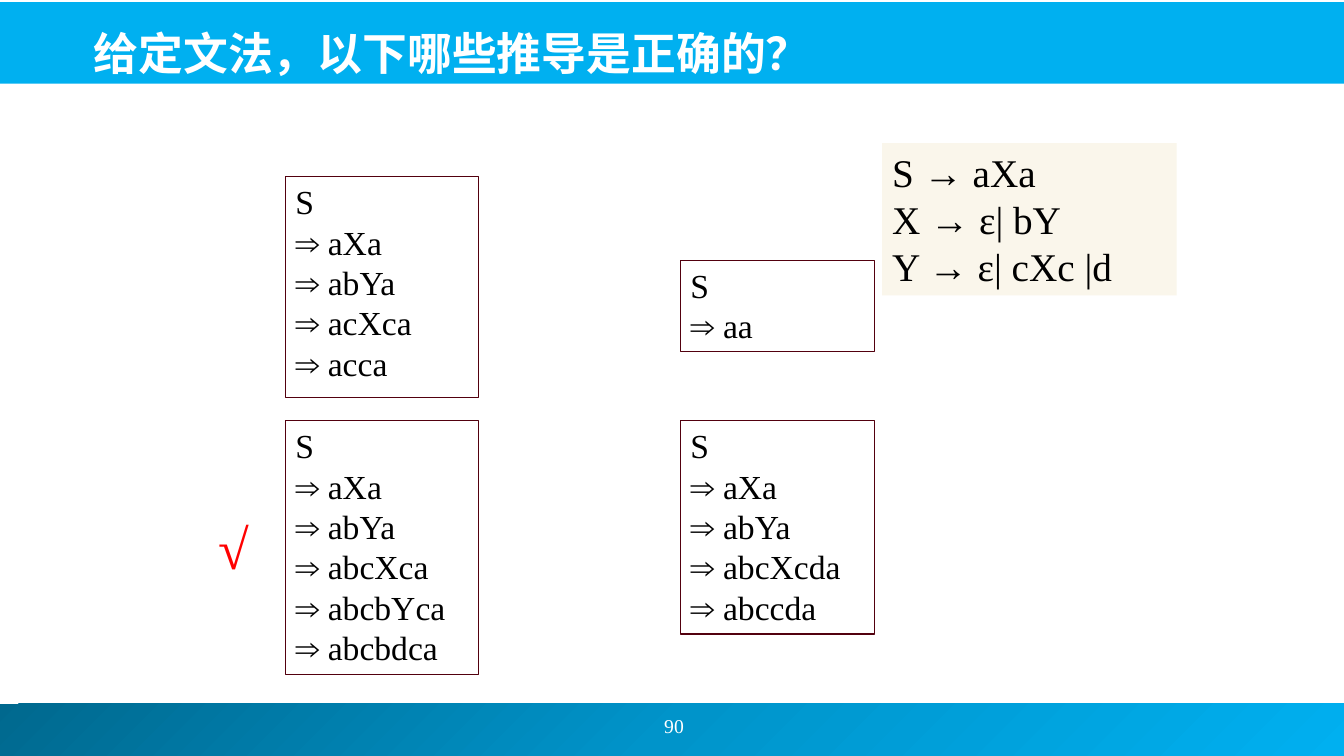
from copy import deepcopy

from pptx import Presentation
from pptx.dml.color import RGBColor
from pptx.enum.shapes import MSO_SHAPE
from pptx.enum.text import MSO_ANCHOR, PP_ALIGN
from pptx.util import Inches, Pt

COLORS = {
    "white": "FFFFFF",
    "black": "000000",
    "red": "FF0000",
    "sky": "00B0F0",
    "mid": "0094CA",
    "deep": "00688E",
    "cream": "FAF6EB",
    "wine": "52000E",
}

LEFT, RIGHT = 2.83, 6.75
STEPS = [
    (LEFT, 1.75, 2.19, ["aXa", "abYa", "acXca", "acca"]),
    (RIGHT, 2.58, 0.91, ["aa"]),
    (LEFT, 4.17, 2.52, ["aXa", "abYa", "abcXca", "abcbYca", "abcbdca"]),
    (RIGHT, 4.17, 2.12, ["aXa", "abYa", "abcXcda", "abccda"]),
]


def tint(name):
    return RGBColor.from_string(COLORS[name])


def write(frame, lines, size=24, color="black", bold=False,
          align=PP_ALIGN.LEFT, anchor=MSO_ANCHOR.TOP, wrap=True):
    """Fill a text frame with one paragraph per line."""
    frame.word_wrap = wrap
    frame.vertical_anchor = anchor
    for i, line in enumerate(lines):
        para = frame.paragraphs[0] if i == 0 else frame.add_paragraph()
        para.alignment = align
        run = para.add_run()
        run.text = line
        font = run.font
        font.name = "Times New Roman"
        font.size = Pt(size)
        font.bold = bold
        font.color.rgb = tint(color)


class Deck:
    """Holds the presentation, its style and the current slide."""

    def __init__(self):
        self.prs = Presentation()
        self.prs.slide_width = Inches(13.33)
        self.prs.slide_height = Inches(7.5)
        self.slide = self.prs.slides.add_slide(self.prs.slide_layouts[6])

    def rect(self, *box, fill=None, line=None):
        shape = self.slide.shapes.add_shape(
            MSO_SHAPE.RECTANGLE, *map(Inches, box))
        shape.shadow.inherit = False
        if fill:
            shape.fill.solid()
            shape.fill.fore_color.rgb = tint(fill)
        else:
            shape.fill.background()
        if line:
            shape.line.color.rgb = tint(line)
            shape.line.width = Pt(0.75)
        else:
            shape.line.fill.background()
        return shape

    def blend(self, *box, names, angle):
        """Add a rectangle with evenly spaced gradient colours."""
        fill = self.rect(*box).fill
        fill.gradient()
        fill.gradient_angle = angle
        first = fill._fill._gradFill.gsLst[0]
        for _ in names[2:]:
            first.addnext(deepcopy(first))
        for i, (stop, name) in enumerate(zip(fill.gradient_stops, names)):
            stop.position = i / (len(names) - 1)
            stop.color.rgb = tint(name)

    def panel(self, *box, lines, size=24, fill=None, line=None):
        shape = self.rect(*box, fill=fill, line=line)
        write(shape.text_frame, lines, size=size)

    def label(self, *box, text, **style):
        shape = self.slide.shapes.add_textbox(*map(Inches, box))
        write(shape.text_frame, [text], **style)


def main():
    deck = Deck()
    deck.blend(-0.05, 6.98, 13.39, 0.52,
               names=["deep", "mid", "sky"], angle=315)
    deck.rect(-0.02, 0.02, 13.36, 0.81, fill="sky")
    deck.label(5.24, 6.95, 2.89, 0.5, text="90", size=14, color="white",
               align=PP_ALIGN.CENTER, anchor=MSO_ANCHOR.MIDDLE)
    deck.label(0.83, 0.05, 12.06, 0.79, text="给定文法，以下哪些推导是正确的？",
               size=32, color="white", bold=True, anchor=MSO_ANCHOR.BOTTOM)
    deck.panel(8.75, 1.42, 2.92, 1.51, size=28, fill="cream",
               lines=["S → aXa", "X → ε| bY", "Y → ε| cXc |d"])
    for left, top, height, steps in STEPS:
        deck.panel(left, top, 1.92, height, line="wine",
                   lines=["S"] + [f"⇒ {step}" for step in steps])
    deck.label(2.07, 5.05, 0.51, 0.77, text="√", size=40, color="red",
               wrap=False)
    deck.prs.save("out.pptx")


if __name__ == "__main__":
    main()
